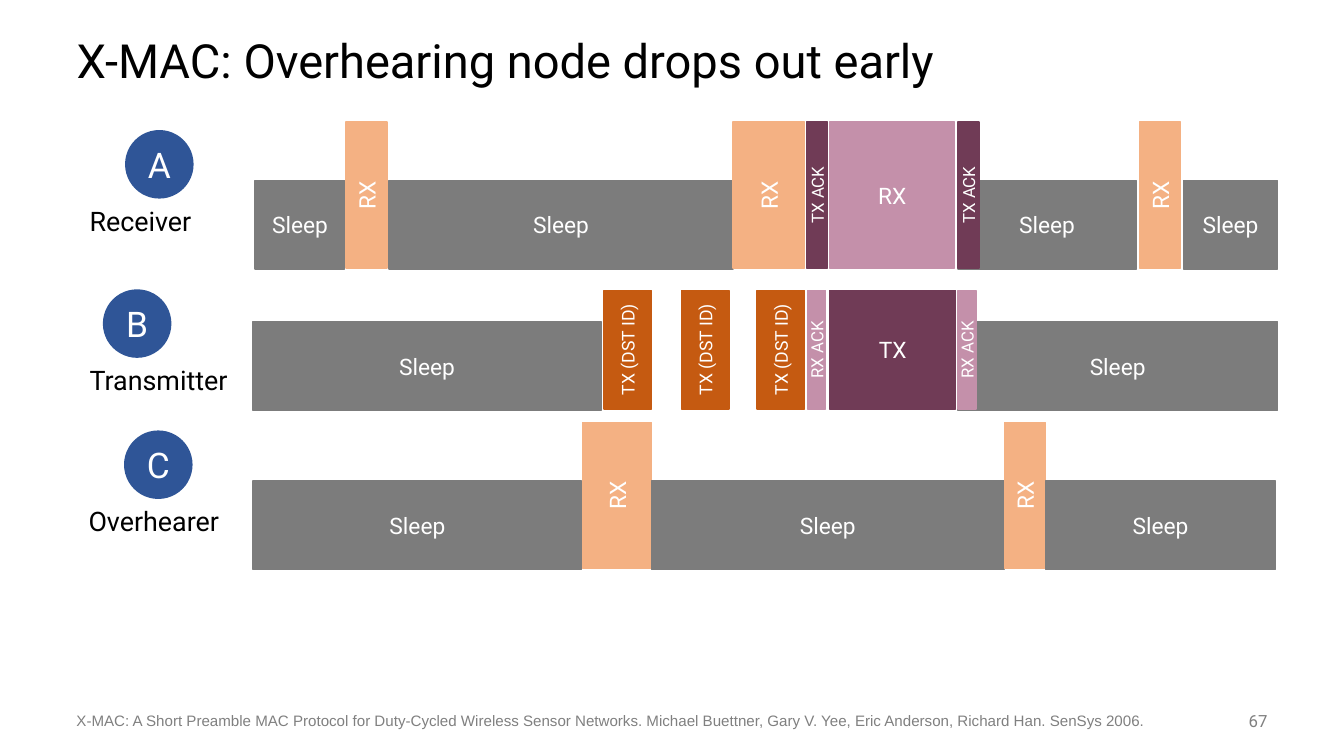
from pptx import Presentation
from pptx.dml.color import RGBColor
from pptx.enum.shapes import MSO_SHAPE as Shape
from pptx.enum.text import MSO_ANCHOR as Anchor, PP_ALIGN as Align
from pptx.util import Pt

TITLE = "X-MAC: Overhearing node drops out early"
SOURCE = ("X-MAC: A Short Preamble MAC Protocol for Duty-Cycled Wireless Sensor Networks. "
          "Michael Buettner, Gary V. Yee, Eric Anderson, Richard Han. SenSys 2006.")
PAGE_NUMBER = "67"

COLORS = {
    "black": "000000", "white": "FFFFFF", "note": "808080", "node": "2F5597",
    "sleep": "7C7C7C", "listen": "F4B183", "preamble": "C55A11",
    "receive": "C490AA", "send": "703B56",
}

BLOCKS = {
    "sleep": ("Sleep", "sleep", 16.2, False),
    "listen": ("RX", "listen", 16.2, True),
    "preamble": ("TX (DST ID)", "preamble", 12.6, True),
    "send ack": ("TX ACK", "send", 12, True),
    "receive ack": ("RX ACK", "receive", 12, True),
    "receive": ("RX", "receive", 16.2, False),
    "send": ("TX", "send", 16.2, False),
}

LANES = [
    {"node": "A", "role": "Receiver", "node_at": (124, 129), "role_left": 79,
     "sleep_top": 179, "active_top": 121, "active_height": 145,
     "blocks": [("sleep", 253, 89), ("listen", 343, 41), ("sleep", 386, 341),
                ("listen", 727, 71), ("send ack", 800, 21), ("receive", 823, 124),
                ("sleep", 950, 177), ("send ack", 950, 21), ("listen", 1130, 41),
                ("sleep", 1174, 93)]},
    {"node": "B", "role": "Transmitter", "node_at": (102, 287), "role_left": 79,
     "sleep_top": 319, "active_top": 288, "active_height": 118,
     "blocks": [("sleep", 251, 345), ("preamble", 599, 47), ("preamble", 676, 47),
                ("preamble", 751, 47), ("receive ack", 801, 18), ("send", 823, 125),
                ("sleep", 950, 317), ("receive ack", 950, 18)]},
    {"node": "C", "role": "Overhearer", "node_at": (123, 427), "role_left": 78,
     "sleep_top": 477, "active_top": 419, "active_height": 145,
     "blocks": [("listen", 578, 68), ("sleep", 251, 326), ("sleep", 646, 350),
                ("listen", 996, 41), ("sleep", 1037, 228)]},
]

SCALE = 9144
SLEEP_HEIGHT = 88
NODE_SIZE = 68
ROLE_OFFSET = 69


def px(*lengths):
    return [length * SCALE for length in lengths]


def color(name):
    return RGBColor.from_string(COLORS[name])


def write(box, text, size, ink, align=Align.LEFT, anchor=Anchor.MIDDLE, font="Roboto"):
    frame = box.text_frame
    frame.word_wrap = True
    frame.vertical_anchor = anchor
    para = frame.paragraphs[0]
    para.alignment = align
    span = para.add_run()
    span.text = text
    span.font.size = Pt(size)
    span.font.name = font
    span.font.color.rgb = color(ink)
    return para


def add_text(page, at, *args, **style):
    write(page.shapes.add_textbox(*px(*at)), *args, **style)


def add_filled(page, kind, at, text, fill, size, outlined=True, vertical=False):
    box = page.shapes.add_shape(kind, *px(*at))
    box.shadow.inherit = False
    box.fill.solid()
    box.fill.fore_color.rgb = color(fill)
    if outlined:
        box.line.color.rgb = color(fill)
        box.line.width = Pt(1)
    else:
        box.line.fill.background()
    frame = box.text_frame
    frame.margin_left = frame.margin_right = frame.margin_top = frame.margin_bottom = 0
    write(box, text, size, "white", Align.CENTER)
    if vertical:
        frame._txBody.bodyPr.set("vert", "vert270")


def add_lane(page, lane):
    for kind, left, width in lane["blocks"]:
        text, fill, size, vertical = BLOCKS[kind]
        if kind == "sleep":
            top, height = lane["sleep_top"], SLEEP_HEIGHT
        else:
            top, height = lane["active_top"], lane["active_height"]
        add_filled(page, Shape.RECTANGLE, (left, top, width, height),
                   text, fill, size, vertical=vertical)
    left, top = lane["node_at"]
    add_filled(page, Shape.OVAL, (left, top, NODE_SIZE, NODE_SIZE),
               lane["node"], "node", 25.2, outlined=False)
    add_text(page, (lane["role_left"], top + ROLE_OFFSET, 173, 42),
             lane["role"], 19.2, "black")


def main():
    deck = Presentation()
    deck.slide_width, deck.slide_height = px(1333, 750)
    page = deck.slides.add_slide(deck.slide_layouts[5])
    title = page.shapes.title
    title.left, title.top, title.width, title.height = px(66, 25, 1200, 75)
    write(title, TITLE, 33.6, "black").line_spacing = 0.9
    for lane in LANES:
        add_lane(page, lane)
    add_text(page, (66, 701, 1118, 28), SOURCE, 10.8, "note",
             anchor=Anchor.TOP, font="Arial")
    add_text(page, (1167, 695, 100, 40), PAGE_NUMBER, 12, "note", align=Align.RIGHT)
    deck.save("out.pptx")


if __name__ == "__main__":
    main()
